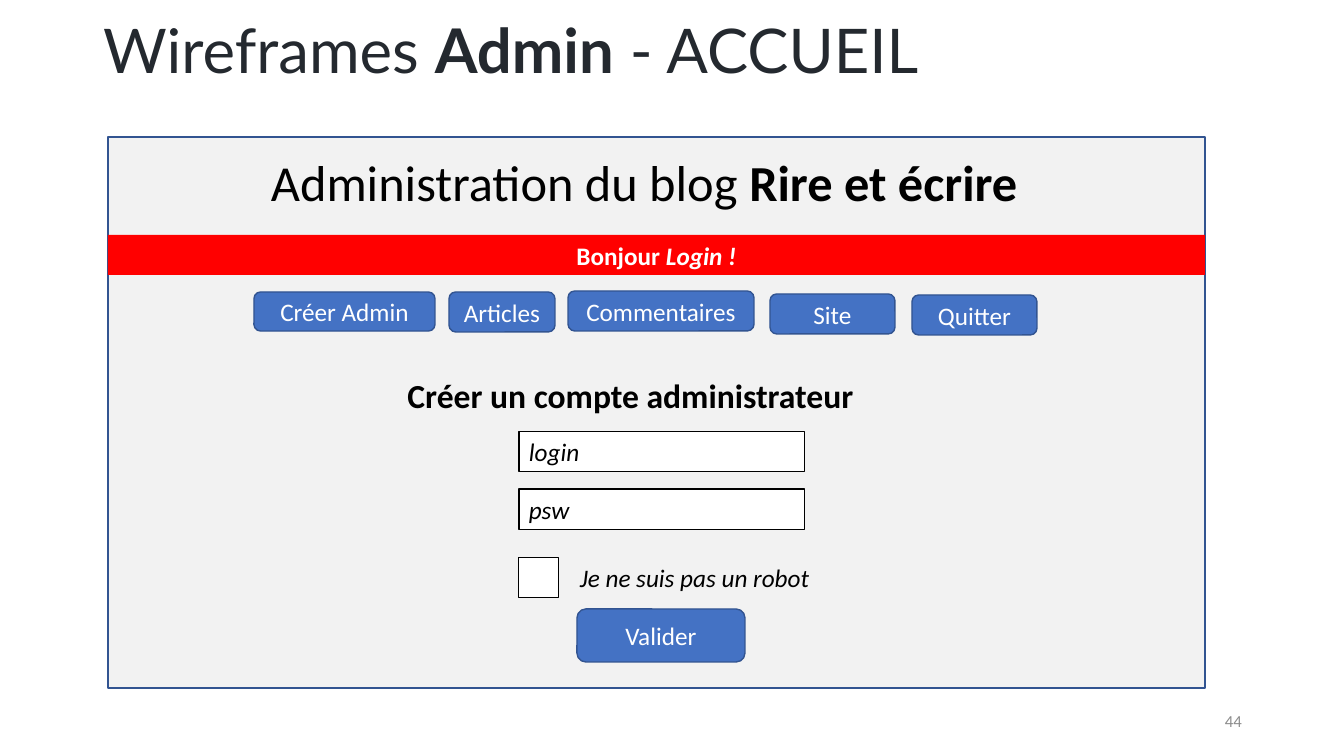
from dataclasses import dataclass

from pptx import Presentation
from pptx.dml.color import RGBColor
from pptx.enum.shapes import MSO_SHAPE
from pptx.enum.text import MSO_ANCHOR, MSO_AUTO_SIZE, PP_ALIGN
from pptx.util import Emu, Pt

# Content: runs are (text, style), style letters being b for bold, i for italic
TITLE = [("Wireframes ", ""), ("Admin", "b"), (" - ACCUEIL", "")]
BLOG_HEADING = [("Administration du blog ", ""), ("Rire et écrire", "b")]
GREETING = [("Bonjour ", "b"), ("Login !", "bi")]
FORM_HEADING = [("Créer un compte administrateur", "b")]
FORM_FIELDS = ["login", "psw"]
ROBOT_LABEL = [("Je ne suis pas un robot", "i")]
PAGE_NUMBER = [("44", "")]
BUTTONS = [  # label, box in pixels
    ("Créer Admin", (254, 292, 181, 39)),
    ("Articles", (449, 292, 106, 40)),
    ("Commentaires", (568, 291, 186, 40)),
    ("Site", (770, 294, 125, 40)),
    ("Quitter", (912, 295, 125, 40)),
    ("Valider", (577, 609, 168, 53)),
]


@dataclass(frozen=True)
class Theme:
    """Colours, fonts and type sizes of the slide."""
    title_font: str = "Lato"
    font: str = "Calibri"
    title_ink: str = "24292F"
    ink: str = "000000"
    white: str = "FFFFFF"
    page: str = "F2F2F2"
    banner: str = "FF0000"
    button: str = "4472C4"
    button_line: str = "325491"
    muted: str = "8C8C8C"
    title_size: int = 44
    heading_size: int = 36
    form_size: int = 24
    body_size: int = 18
    number_size: int = 12


THEME = Theme()
EMU_PER_PX = 914400 / 100.8
LEFT, CENTER, RIGHT = PP_ALIGN.LEFT, PP_ALIGN.CENTER, PP_ALIGN.RIGHT

FRAME_X, FRAME_W = 108, 1097
FIELD_X, FIELD_Y, FIELD_W, FIELD_H = 519, 431, 286, 41
FIELD_PITCH = 58
CHECK_Y = 557


def px(value):
    """Turn pixels into EMU."""
    return Emu(round(value * EMU_PER_PX))


def write(shape, runs, size=THEME.body_size, color=THEME.ink,
          align=LEFT, anchor=MSO_ANCHOR.TOP, font=THEME.font):
    """Fill a shape with one paragraph of styled runs."""
    frame = shape.text_frame
    frame.word_wrap = True
    frame.auto_size = MSO_AUTO_SIZE.NONE
    frame.vertical_anchor = anchor
    paragraph = frame.paragraphs[0]
    paragraph.alignment = align
    for text, style in runs:
        run = paragraph.add_run()
        run.text = text
        run.font.name = font
        run.font.size = Pt(size)
        run.font.bold = "b" in style
        run.font.italic = "i" in style
        run.font.color.rgb = RGBColor.from_string(color)
    return paragraph


def add_box(slide, box, fill, line=None, width=1, kind=MSO_SHAPE.RECTANGLE):
    """Add a flat filled shape, outlined when a line colour is given."""
    shape = slide.shapes.add_shape(kind, *map(px, box))
    shape.shadow.inherit = False
    shape.fill.solid()
    shape.fill.fore_color.rgb = RGBColor.from_string(fill)
    if line:
        shape.line.color.rgb = RGBColor.from_string(line)
        shape.line.width = Pt(width)
    else:
        shape.line.fill.background()
    return shape


def add_text(slide, box, runs, **style):
    """Add a text box."""
    write(slide.shapes.add_textbox(*map(px, box)), runs, **style)


def add_input(slide, box):
    """Add a white form control with a thin black outline."""
    return add_box(slide, box, THEME.white, THEME.ink, 0.75)


def add_button(slide, label, box):
    """Add a rounded blue button with a centred label."""
    button = add_box(slide, box, THEME.button, THEME.button_line,
                     kind=MSO_SHAPE.ROUNDED_RECTANGLE)
    write(button, [(label, "")], color=THEME.white, align=CENTER,
          anchor=MSO_ANCHOR.MIDDLE)


def add_title(slide):
    """Place and fill the title placeholder."""
    title = slide.shapes.title
    title.left, title.top, title.width, title.height = map(px, (93, 14, 1159, 80))
    paragraph = write(title, TITLE, THEME.title_size, THEME.title_ink,
                      anchor=MSO_ANCHOR.MIDDLE, font=THEME.title_font)
    paragraph.line_spacing = 0.9


def add_form(slide):
    """Add the account form: heading, fields and robot check."""
    add_text(slide, (354, 370, 553, 50), FORM_HEADING,
             size=THEME.form_size, align=CENTER)
    for row, name in enumerate(FORM_FIELDS):
        top = FIELD_Y + row * FIELD_PITCH
        field = add_input(slide, (FIELD_X, top, FIELD_W, FIELD_H))
        write(field, [(name, "i")])
    add_input(slide, (FIELD_X, CHECK_Y, 40, FIELD_H))
    add_text(slide, (570, CHECK_Y, 262, FIELD_H), ROBOT_LABEL)


def main():
    """Build and save the slide."""
    prs = Presentation()
    prs.slide_width, prs.slide_height = px(1344), px(756)
    slide = prs.slides.add_slide(prs.slide_layouts[5])
    add_title(slide)
    add_box(slide, (FRAME_X, 137, FRAME_W, 551), THEME.page, THEME.button_line)
    add_text(slide, (261, 146, 787, 72), BLOG_HEADING, size=THEME.heading_size)
    banner = add_box(slide, (FRAME_X, 235, FRAME_W, 40), THEME.banner)
    write(banner, GREETING, color=THEME.white, align=CENTER)
    add_form(slide)
    for label, box in BUTTONS:
        add_button(slide, label, box)
    add_text(slide, (950, 701, 302, 40), PAGE_NUMBER, size=THEME.number_size,
             color=THEME.muted, align=RIGHT, anchor=MSO_ANCHOR.MIDDLE)
    prs.save("out.pptx")


main()
